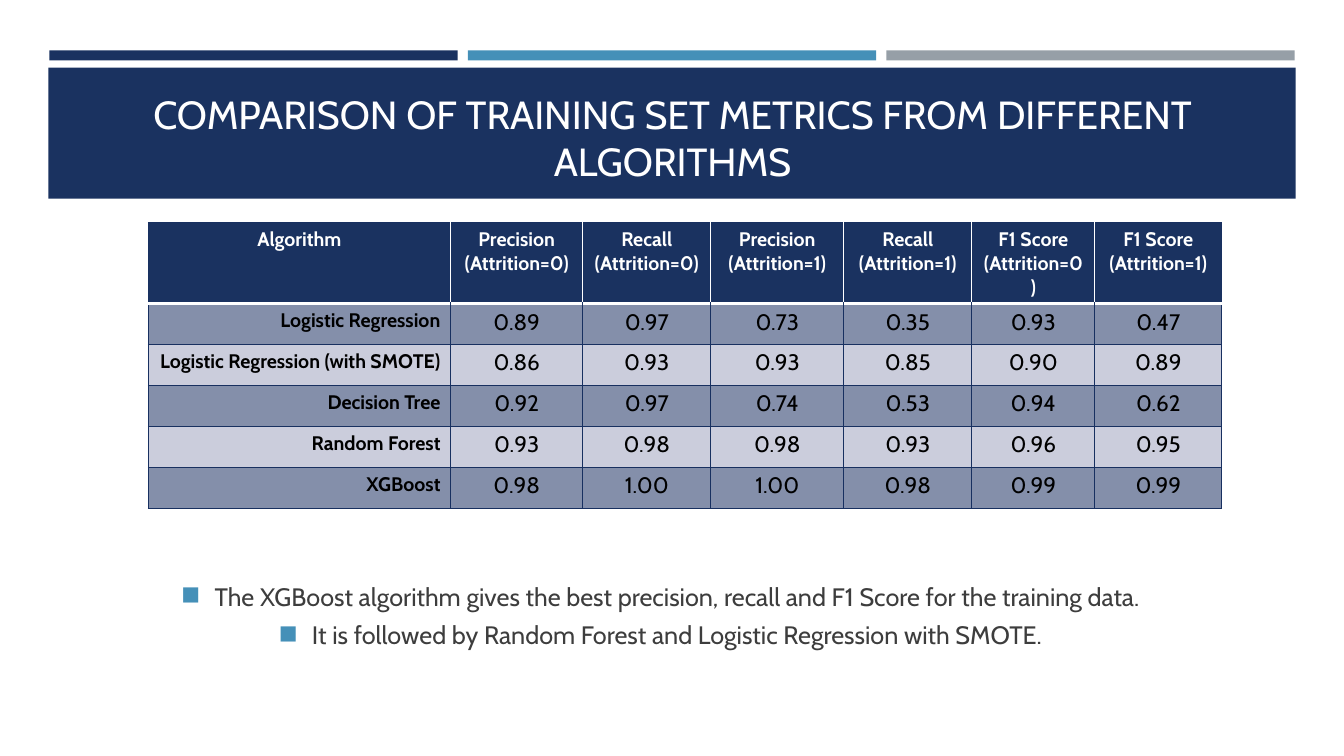
from dataclasses import dataclass

from lxml.etree import SubElement
from pptx import Presentation
from pptx.dml.color import RGBColor
from pptx.enum.shapes import MSO_SHAPE as Shape
from pptx.enum.text import MSO_ANCHOR as Anchor, PP_ALIGN as Align
from pptx.oxml.ns import qn
from pptx.slide import Slide
from pptx.table import _Cell as Cell
from pptx.text.text import TextFrame, _Paragraph as Paragraph
from pptx.util import Inches, Pt


@dataclass(frozen=True)
class Theme:
    font: str = "Cabin"
    navy: str = "1A3260"
    blue: str = "4590B8"
    gray: str = "969FA7"
    white: str = "FFFFFF"
    black: str = "000000"
    body: str = "3D3D3D"
    grid: str = "183060"
    dark_band: str = "848FAA"
    light_band: str = "CBCDDC"
    title_pt: int = 28
    body_pt: int = 18
    value_pt: int = 16
    label_pt: int = 14


@dataclass(frozen=True)
class Box:
    left: float
    top: float
    width: float
    height: float

    def emu(self) -> tuple:
        return tuple(map(Inches, (self.left, self.top, self.width, self.height)))


@dataclass(frozen=True)
class Panel:
    box: Box
    color: str


@dataclass(frozen=True)
class Result:
    algorithm: str
    scores: tuple[str, ...]


THEME = Theme()
PANELS = [
    *(Panel(Box(0.49 + 4.15 * i, 0.5, 4.05, 0.1), color)
      for i, color in enumerate((THEME.navy, THEME.blue, THEME.gray))),
    Panel(Box(0.48, 0.67, 12.37, 1.3), THEME.navy),
]
TITLE = "COMPARISON OF TRAINING SET METRICS FROM DIFFERENT ALGORITHMS"
FINDINGS = (
    "The XGBoost algorithm gives the best precision, recall and F1 Score for the training data.",
    "It is followed by Random Forest and Logistic Regression with SMOTE.",
)
HEADERS = (
    "Algorithm",
    "Precision (Attrition=0)", "Recall (Attrition=0)",
    "Precision (Attrition=1)", "Recall (Attrition=1)",
    "F1 Score (Attrition=0)", "F1 Score (Attrition=1)",
)
RESULTS = (
    Result("Logistic Regression", ("0.89", "0.97", "0.73", "0.35", "0.93", "0.47")),
    Result("Logistic Regression (with SMOTE)", ("0.86", "0.93", "0.93", "0.85", "0.90", "0.89")),
    Result("Decision Tree", ("0.92", "0.97", "0.74", "0.53", "0.94", "0.62")),
    Result("Random Forest", ("0.93", "0.98", "0.98", "0.93", "0.96", "0.95")),
    Result("XGBoost", ("0.98", "1.00", "1.00", "0.98", "0.99", "0.99")),
)
TABLE_BOX = Box(1.47, 2.21, 10.65, 2.83)
COLUMN_WIDTHS = (3, 1.31, 1.27, 1.32, 1.27, 1.22, 1.26)
HEADER_HEIGHT = 0.8


def style(p: Paragraph, size: int, color: str, align: Align, bold: bool = False) -> None:
    p.alignment = align
    for r in p.runs:
        r.font.name = THEME.font
        r.font.size = Pt(size)
        r.font.bold = bold
        r.font.color.rgb = RGBColor.from_string(color)


def add_panel(s: Slide, panel: Panel) -> None:
    sp = s.shapes.add_shape(Shape.RECTANGLE, *panel.box.emu())
    sp.shadow.inherit = False
    sp.fill.solid()
    sp.fill.fore_color.rgb = RGBColor.from_string(panel.color)
    sp.line.fill.background()


def add_text(s: Slide, box: Box, text: str, anchor: Anchor) -> TextFrame:
    tf = s.shapes.add_textbox(*box.emu()).text_frame
    tf.word_wrap = True
    tf.vertical_anchor = anchor
    tf.margin_left = tf.margin_right = tf.margin_top = tf.margin_bottom = Inches(0.05)
    tf.text = text
    return tf


def add_bullet(p: Paragraph) -> None:
    pPr = p._p.get_or_add_pPr()
    pPr.set("marL", str(Inches(0.33)))
    pPr.set("indent", str(-Inches(0.33)))
    color = SubElement(pPr, qn("a:buClr"))
    SubElement(color, qn("a:srgbClr"), val=THEME.blue)
    SubElement(pPr, qn("a:buSzPct"), val="92000")
    SubElement(pPr, qn("a:buChar"), char="◼")


def add_border(cell: Cell, side: str, color: str, width: float) -> None:
    ln = SubElement(cell._tc.get_or_add_tcPr(), qn(f"a:ln{side}"), w=str(Pt(width)))
    fill = SubElement(ln, qn("a:solidFill"))
    SubElement(fill, qn("a:srgbClr"), val=color)


def fill_cell(cell: Cell, text: str, row: int, col: int) -> None:
    cell.text = text
    p = cell.text_frame.paragraphs[0]
    if row == 0:
        style(p, THEME.label_pt, THEME.white, Align.CENTER, True)
        fill = THEME.navy
        sides = "LTB" if col == 0 else "RTB" if col == len(HEADERS) - 1 else "TB"
    else:
        if col == 0:
            style(p, THEME.label_pt, THEME.black, Align.RIGHT, True)
        else:
            style(p, THEME.value_pt, THEME.black, Align.CENTER)
        fill = THEME.dark_band if row % 2 else THEME.light_band
        sides = "LRTB"
    for side in "LRTB":
        if side in sides:
            under_header = (row, side) in ((0, "B"), (1, "T"))
            color, width = (THEME.white, 2) if under_header else (THEME.grid, 0.75)
            add_border(cell, side, color, width)
    cell.fill.solid()
    cell.fill.fore_color.rgb = RGBColor.from_string(fill)


def add_metrics(s: Slide) -> None:
    rows = [HEADERS, *((result.algorithm, *result.scores) for result in RESULTS)]
    table = s.shapes.add_table(len(rows), len(HEADERS), *TABLE_BOX.emu()).table
    for column, width in zip(table.columns, COLUMN_WIDTHS):
        column.width = Inches(width)
    body_height = (TABLE_BOX.height - HEADER_HEIGHT) / len(RESULTS)
    for i, texts in enumerate(rows):
        table.rows[i].height = Inches(body_height if i else HEADER_HEIGHT)
        for j, text in enumerate(texts):
            fill_cell(table.cell(i, j), text, i, j)


def main() -> None:
    prs = Presentation()
    prs.slide_width, prs.slide_height = Inches(13.33), Inches(7.5)
    s = prs.slides.add_slide(prs.slide_layouts[6])
    for panel in PANELS:
        add_panel(s, panel)
    title = add_text(s, Box(0.64, 0.77, 12.06, 1.11), TITLE, Anchor.BOTTOM)
    style(title.paragraphs[0], THEME.title_pt, THEME.white, Align.CENTER)
    findings = add_text(s, Box(0.4, 5.2, 12.3, 1.81), "\n".join(FINDINGS), Anchor.MIDDLE)
    for i, p in enumerate(findings.paragraphs):
        if i:
            p.space_before = Pt(6)
        add_bullet(p)
        style(p, THEME.body_pt, THEME.body, Align.CENTER)
    add_metrics(s)
    prs.save("out.pptx")


if __name__ == "__main__":
    main()
